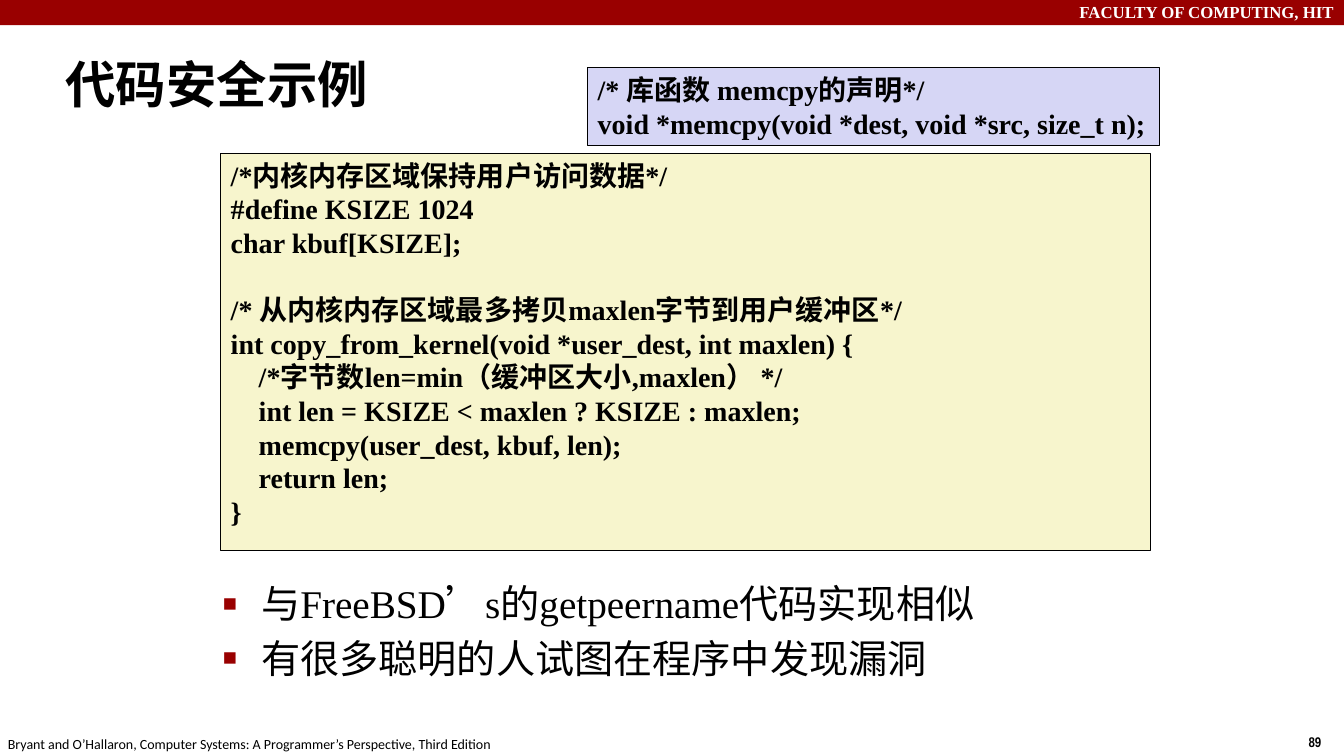
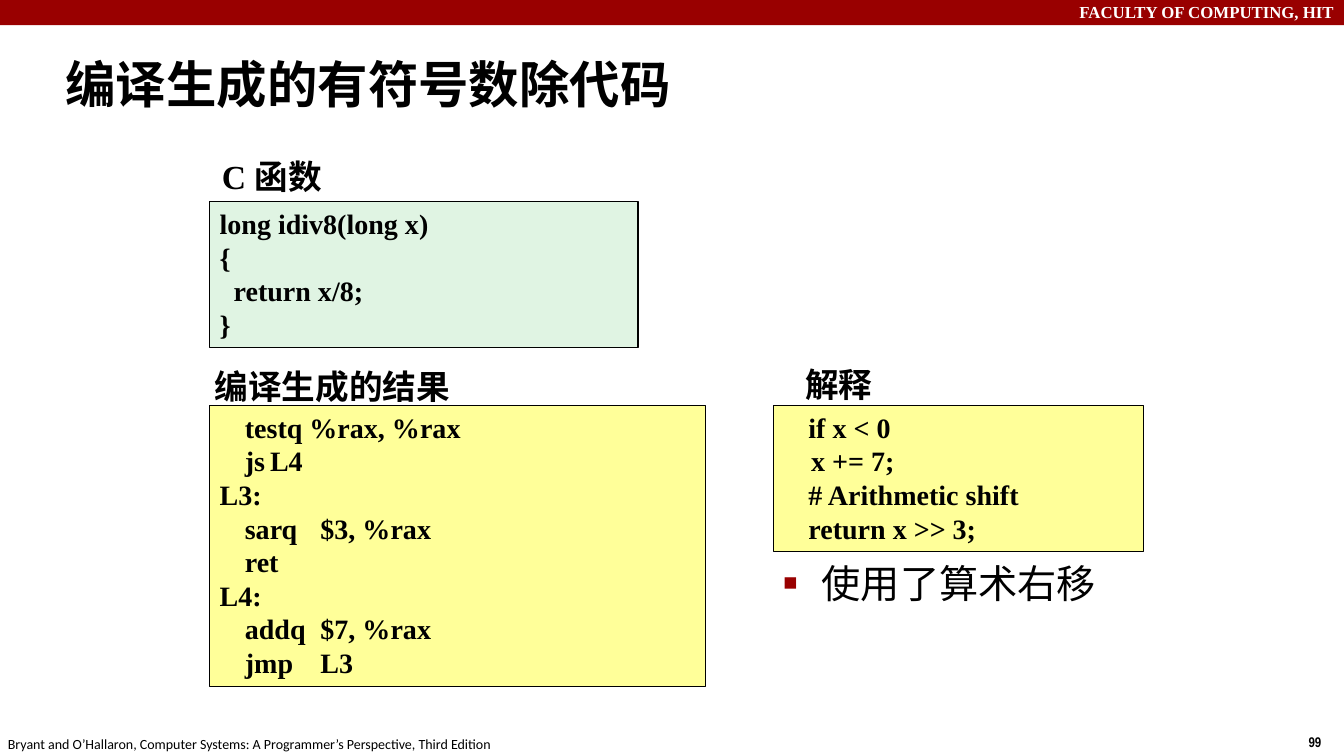
from dataclasses import dataclass

from lxml import etree
from pptx import Presentation, util as u
from pptx.dml.color import RGBColor
from pptx.enum import shapes, text
from pptx.oxml import ns

EMU_PER_PX = 9144
SLIDE_WIDTH, SLIDE_HEIGHT = 1333, 750


@dataclass(frozen=True)
class Theme:
    accent: str = "990000"
    ink: str = "000000"
    paper: str = "FFFFFF"
    cream: str = "F7F5CD"
    lavender: str = "D6D6F5"
    mint: str = "E0F4E3"
    yellow: str = "FFFF99"
    serif: str = "Times New Roman"
    sans: str = "Calibri"
    narrow: str = "Arial Narrow"
    title_size: int = 36
    bullet_size: int = 28
    label_size: int = 24
    code_size: int = 20
    header_size: int = 12
    footer_size: int = 10


THEME = Theme()


@dataclass(frozen=True)
class Area:
    left: int
    top: int
    width: int
    height: int


@dataclass(frozen=True)
class CodePanel:
    area: Area
    code: str
    fill: str
    border: float = 1
    tab: int = 0
    wrap: bool = True


@dataclass(frozen=True)
class Label:
    area: Area
    caption: str
    align: text.PP_ALIGN = text.PP_ALIGN.LEFT
    wrap: bool = True


@dataclass(frozen=True)
class Lesson:
    title: str
    number: int
    panels: tuple[CodePanel, ...]
    labels: tuple[Label, ...]
    bullet_area: Area
    bullets: str


KERNEL_CODE = """/*内核内存区域保持用户访问数据*/
#define KSIZE 1024
char kbuf[KSIZE];

/* 从内核内存区域最多拷贝maxlen字节到用户缓冲区*/
int copy_from_kernel(void *user_dest, int maxlen) {
    /*字节数len=min（缓冲区大小,maxlen） */
    int len = KSIZE < maxlen ? KSIZE : maxlen;
    memcpy(user_dest, kbuf, len);
    return len;
}"""

MEMCPY_CODE = """/* 库函数 memcpy的声明*/
void *memcpy(void *dest, void *src, size_t n);"""

DIVIDE_CODE = """long idiv8(long x)
{
  return x/8;
}"""

ASSEMBLY_CODE = """\ttestq %rax, %rax
\tjs\tL4
L3:
\tsarq\t$3, %rax
\tret
L4:
\taddq\t$7, %rax
\tjmp\tL3"""

EXPLAIN_CODE = """\tif x < 0
    x += 7;
\t# Arithmetic shift
\treturn x >> 3;"""

LESSONS = (
    Lesson(
        "代码安全示例", 89,
        (
            CodePanel(Area(219, 152, 922, 394), KERNEL_CODE, THEME.cream, border=0.5),
            CodePanel(Area(583, 67, 567, 77), MEMCPY_CODE, THEME.lavender, border=0.5, wrap=False),
        ),
        (),
        Area(211, 570, 909, 130),
        "与FreeBSD’s的getpeername代码实现相似\n有很多聪明的人试图在程序中发现漏洞",
    ),
    Lesson(
        "编译生成的有符号数除代码", 99,
        (
            CodePanel(Area(208, 200, 425, 145), DIVIDE_CODE, THEME.mint),
            CodePanel(Area(208, 402, 492, 279), ASSEMBLY_CODE, THEME.yellow, tab=25),
            CodePanel(Area(767, 402, 367, 145), EXPLAIN_CODE, THEME.yellow, tab=25),
        ),
        (
            Label(Area(215, 150, 169, 50), "C 函数"),
            Label(Area(208, 358, 308, 50), "编译生成的结果"),
            Label(Area(793, 356, 78, 50), "解释", text.PP_ALIGN.CENTER, False),
        ),
        Area(767, 550, 400, 58),
        "使用了算术右移",
    ),
)


def px(length: int) -> u.Emu:
    return u.Emu(length * EMU_PER_PX)


def box(area: Area) -> tuple[u.Emu, ...]:
    return px(area.left), px(area.top), px(area.width), px(area.height)


def place(shape, area: Area) -> None:
    shape.left, shape.top, shape.width, shape.height = box(area)


def add_property(paragraph, tag: str, **attributes: str):
    properties = paragraph._p.get_or_add_pPr()
    return etree.SubElement(properties, ns.qn(tag), attributes)


def add_bullet(paragraph) -> None:
    properties = paragraph._p.get_or_add_pPr()
    properties.set("marL", str(px(38)))
    properties.set("indent", str(px(-38)))
    colour = add_property(paragraph, "a:buClr")
    etree.SubElement(colour, ns.qn("a:srgbClr"), val=THEME.accent)
    add_property(paragraph, "a:buSzPct", val="60000")
    add_property(paragraph, "a:buFont", typeface=THEME.serif)
    add_property(paragraph, "a:buChar", char="■")


def add_tab(paragraph, position: int) -> None:
    tabs = add_property(paragraph, "a:tabLst")
    etree.SubElement(tabs, ns.qn("a:tab"), pos=str(px(position)), algn="l")


def write(shape, content: str, *, size: int, font: str = THEME.serif,
          colour: str = THEME.ink, bold: bool = False,
          align: text.PP_ALIGN = text.PP_ALIGN.LEFT,
          anchor: text.MSO_ANCHOR = text.MSO_ANCHOR.TOP,
          wrap: bool = True, margin: int = 10, gap: float = 0,
          tab: int = 0, bulleted: bool = False) -> None:
    frame = shape.text_frame
    frame.auto_size = text.MSO_AUTO_SIZE.NONE
    frame.word_wrap = wrap
    frame.vertical_anchor = anchor
    frame.margin_left = frame.margin_right = px(margin)
    frame.margin_top = frame.margin_bottom = px(5)
    paragraph = None
    space = 0
    for line in content.split("\n"):
        if not line:
            space = size * 1.2
            continue
        paragraph = frame.add_paragraph() if paragraph else frame.paragraphs[0]
        paragraph.alignment = align
        paragraph.space_before = u.Pt(space)
        space = gap
        if bulleted:
            add_bullet(paragraph)
        if tab:
            add_tab(paragraph, tab)
        run = paragraph.add_run()
        run.text = line
        run.font.name = font
        run.font.size = u.Pt(size)
        run.font.bold = bold
        run.font.color.rgb = RGBColor.from_string(colour)


def add_rectangle(slide, area: Area, fill: str, border: float = 0):
    shape = slide.shapes.add_shape(shapes.MSO_SHAPE.RECTANGLE, *box(area))
    shape.shadow.inherit = False
    shape.fill.solid()
    shape.fill.fore_color.rgb = RGBColor.from_string(fill)
    if border:
        shape.line.color.rgb = RGBColor.from_string(THEME.ink)
        shape.line.width = u.Pt(border)
    else:
        shape.line.fill.background()
    return shape


def add_text(slide, area: Area, content: str, **style) -> None:
    write(slide.shapes.add_textbox(*box(area)), content, **style)


def add_frame(slide, number: int) -> None:
    add_rectangle(slide, Area(0, 0, SLIDE_WIDTH, 25), THEME.accent)
    add_text(slide, Area(0, -3, SLIDE_WIDTH, 30), "FACULTY OF COMPUTING, HIT",
             size=THEME.header_size, colour=THEME.paper, bold=True,
             align=text.PP_ALIGN.RIGHT)
    add_text(slide, Area(1288, 723, 34, 27), str(number), size=THEME.footer_size,
             font=THEME.narrow, bold=True, wrap=False)
    add_text(slide, Area(-2, 725, 508, 27),
             "Bryant and O’Hallaron, Computer Systems: "
             "A Programmer’s Perspective, Third Edition",
             size=THEME.footer_size, font=THEME.sans, wrap=False)


def add_lesson(presentation, lesson: Lesson) -> None:
    slide = presentation.slides.add_slide(presentation.slide_layouts[1])
    add_frame(slide, lesson.number)
    title, body = slide.shapes.title, slide.placeholders[1]
    place(title, Area(55, 41, 1268, 83))
    write(title, lesson.title, size=THEME.title_size, font=THEME.sans, bold=True,
          anchor=text.MSO_ANCHOR.MIDDLE)
    place(body, lesson.bullet_area)
    write(body, lesson.bullets, size=THEME.bullet_size, gap=5.6, bulleted=True)
    for panel in lesson.panels:
        shape = add_rectangle(slide, panel.area, panel.fill, panel.border)
        write(shape, panel.code, size=THEME.code_size, bold=True,
              wrap=panel.wrap, tab=panel.tab)
    for label in lesson.labels:
        add_text(slide, label.area, label.caption, size=THEME.label_size, bold=True,
                 align=label.align, wrap=label.wrap, margin=5)


def main() -> None:
    presentation = Presentation()
    presentation.slide_width = px(SLIDE_WIDTH)
    presentation.slide_height = px(SLIDE_HEIGHT)
    for lesson in LESSONS:
        add_lesson(presentation, lesson)
    presentation.save("out.pptx")


if __name__ == "__main__":
    main()
